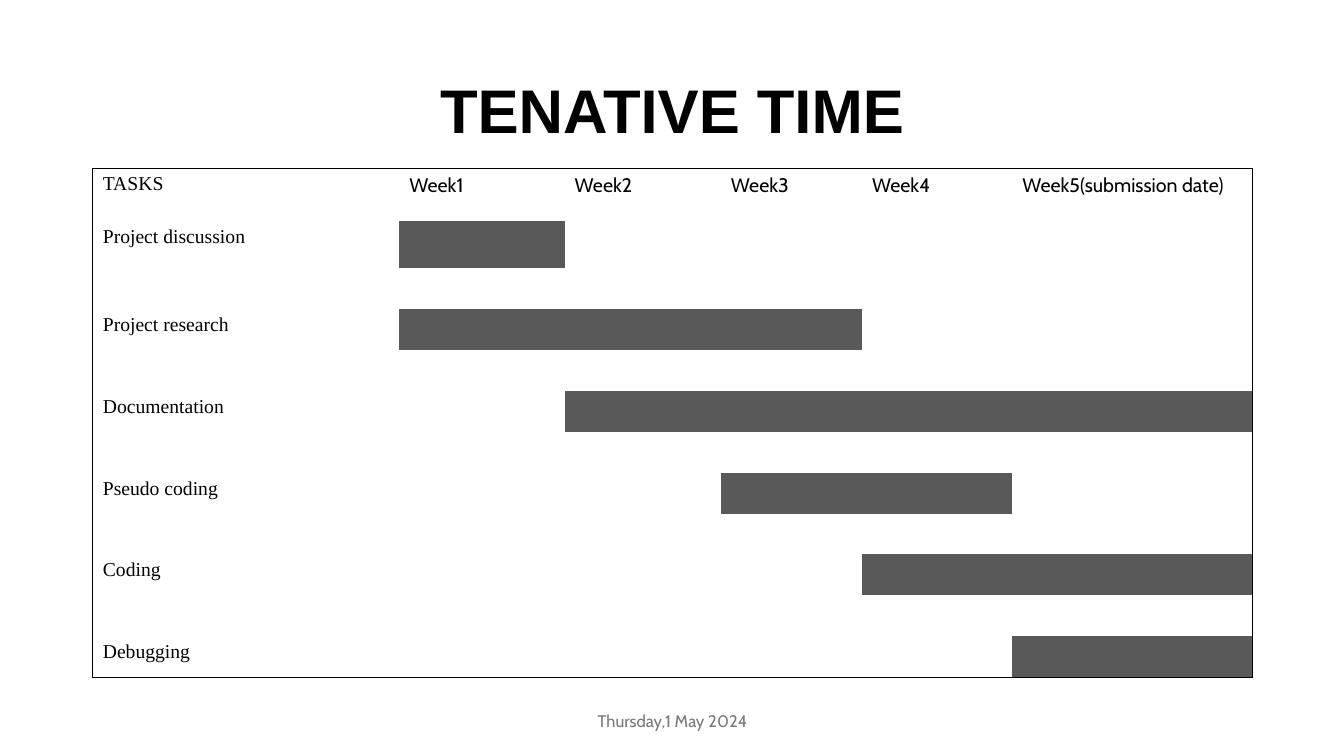
from lxml.etree import SubElement
from pptx import Presentation
from pptx.dml.color import RGBColor
from pptx.enum.text import MSO_ANCHOR as Anchor, PP_ALIGN as Align
from pptx.oxml.ns import qn
from pptx.util import Inches, Pt

BLACK = RGBColor(0x00, 0x00, 0x00)
GRAY = RGBColor(0x79, 0x79, 0x79)
BAR = RGBColor(0x59, 0x59, 0x59)
WHITE = RGBColor(0xFF, 0xFF, 0xFF)

COLUMN_WIDTHS = [3.04, 1.64, 1.55, 1.4, 1.49, 2.38]
ROW_HEIGHTS = [0.52, 0.47] + [4.06 / 10] * 10
WEEKS = ["Week1", "Week2", "Week3", "Week4", "Week5(submission date)"]
TASKS = [
    ("Project discussion", 1, 1),
    ("Project research", 1, 3),
    ("Documentation", 2, 5),
    ("Pseudo coding", 3, 4),
    ("Coding", 4, 5),
    ("Debugging", 5, 5),
]


class ScheduleSlide:
    """Holds the text style and the slide, and draws its elements."""

    heading_font = "Arial"
    body_font = "Cabin"
    task_font = "Times New Roman"

    def __init__(self, presentation):
        self.slide = presentation.slides.add_slide(presentation.slide_layouts[6])

    def style(self, paragraph, font, size, color=BLACK, bold=False):
        paragraph.font.name = font
        paragraph.font.size = Pt(size)
        paragraph.font.color.rgb = color
        paragraph.font.bold = bold

    def text(self, words, left, top, width, height, **style):
        box = self.slide.shapes.add_textbox(
            Inches(left), Inches(top), Inches(width), Inches(height))
        frame = box.text_frame
        frame.word_wrap = True
        frame.vertical_anchor = Anchor.MIDDLE
        paragraph = frame.paragraphs[0]
        paragraph.text = words
        paragraph.alignment = Align.CENTER
        self.style(paragraph, **style)
        return paragraph

    def borders(self, cell, **visible):
        properties = cell._tc.get_or_add_tcPr()
        for side in "LRTB":
            line = SubElement(properties, qn(f"a:ln{side}"), w=str(Pt(1)))
            if visible[side]:
                fill = SubElement(line, qn("a:solidFill"))
                SubElement(fill, qn("a:srgbClr"), val=str(BLACK))
            else:
                SubElement(line, qn("a:noFill"))

    def cell(self, cell, words, font, color):
        cell.text = words
        self.style(cell.text_frame.paragraphs[0], font, 14)
        cell.fill.solid()
        cell.fill.fore_color.rgb = color

    def schedule(self, left, top):
        rows, columns = len(ROW_HEIGHTS), len(COLUMN_WIDTHS)
        table = self.slide.shapes.add_table(
            rows, columns, Inches(left), Inches(top),
            Inches(sum(COLUMN_WIDTHS)), Inches(sum(ROW_HEIGHTS))).table
        table.first_row = table.horz_banding = False
        for column, width in zip(table.columns, COLUMN_WIDTHS):
            column.width = Inches(width)
        for row, height in zip(table.rows, ROW_HEIGHTS):
            row.height = Inches(height)

        labels = {(0, 0): "TASKS"}
        labels.update({(0, week): name for week, name in enumerate(WEEKS, 1)})
        bars = set()
        for index, (task, first, last) in enumerate(TASKS):
            row = 2 * index + 1
            labels[row, 0] = task
            bars.update((row, week) for week in range(first, last + 1))

        for row in range(rows):
            for column in range(columns):
                cell = table.cell(row, column)
                self.borders(cell, L=column == 0, R=column == columns - 1,
                             T=row == 0, B=row == rows - 1)
                self.cell(cell, labels.get((row, column), ""),
                          self.body_font if column else self.task_font,
                          BAR if (row, column) in bars else WHITE)


def main():
    presentation = Presentation()
    presentation.slide_width = Inches(13.33)
    presentation.slide_height = Inches(7.5)
    page = ScheduleSlide(presentation)
    title = page.text("TENATIVE TIME", 0.92, 0.4, 11.5, 1.45,
                      font=page.heading_font, size=44, bold=True)
    title.line_spacing = 0.9
    page.text("Thursday,1 May 2024", 4.42, 6.95, 4.5, 0.4,
              font=page.body_font, size=12, color=GRAY)
    page.schedule(0.92, 1.67)
    presentation.save("out.pptx")


if __name__ == "__main__":
    main()
